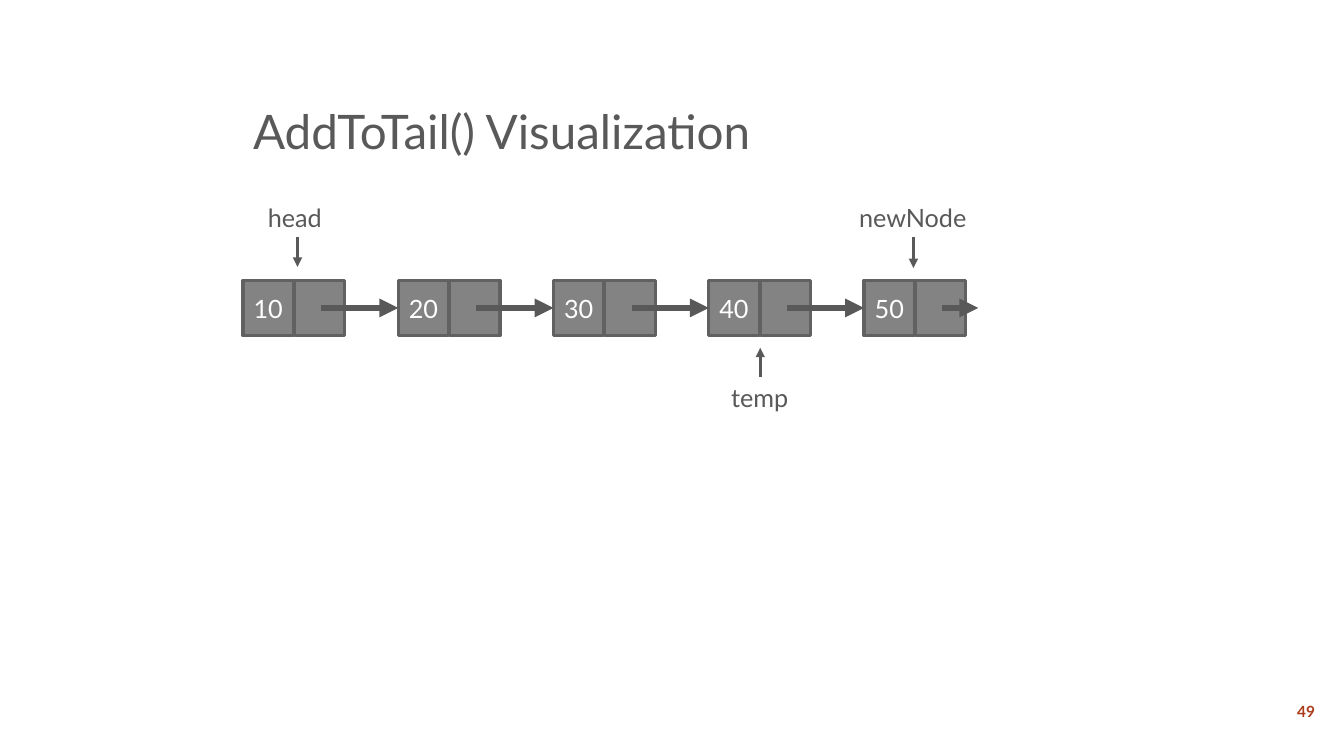
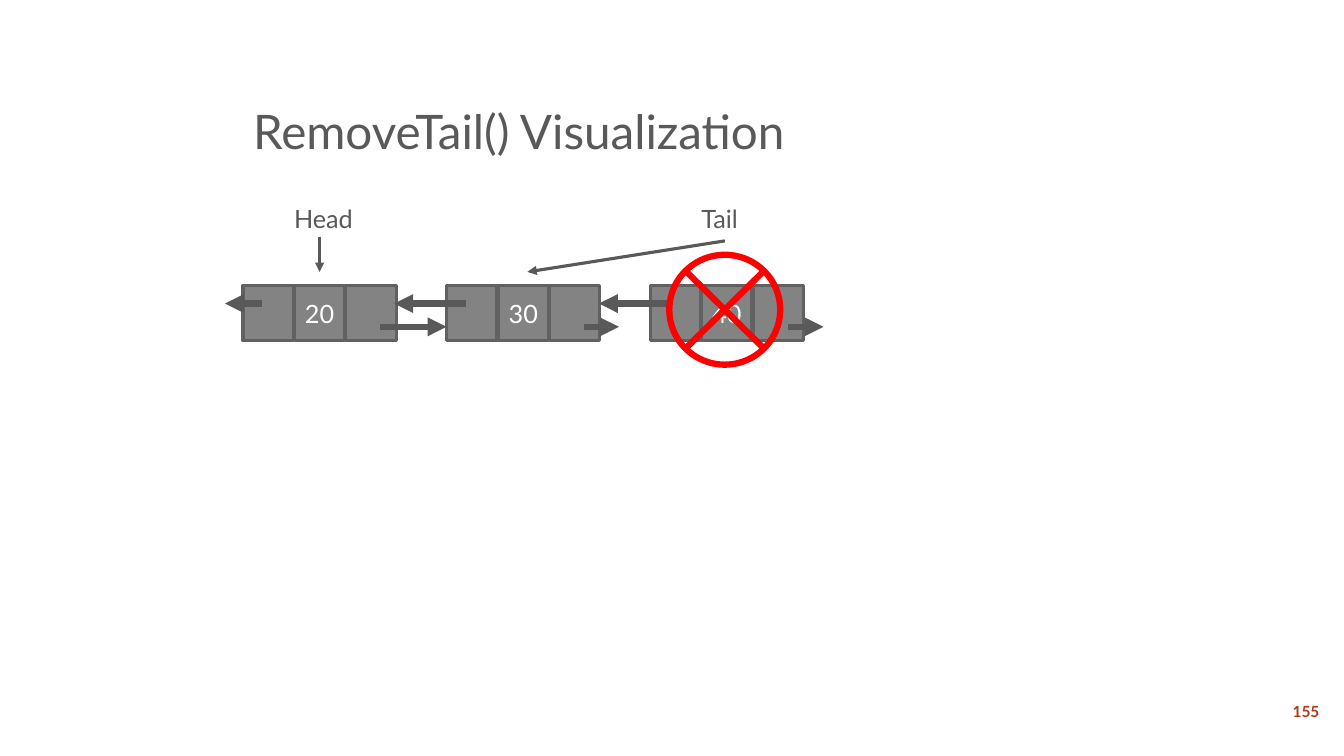
from dataclasses import dataclass
from itertools import product

from lxml.etree import SubElement
from pptx import Presentation
from pptx.dml.color import RGBColor as Rgb
from pptx.enum.shapes import MSO_CONNECTOR as Connector, MSO_SHAPE as Shape
from pptx.enum.text import MSO_ANCHOR as Anchor, MSO_AUTO_SIZE as AutoSize, PP_ALIGN as Align
from pptx.oxml.ns import qn
from pptx.util import Inches, Pt


@dataclass(frozen=True)
class Theme:
    font: str = "Lato"
    ink: Rgb = Rgb(0x59, 0x59, 0x59)
    cell_fill: Rgb = Rgb(0x83, 0x83, 0x83)
    cell_edge: Rgb = Rgb(0x61, 0x61, 0x61)
    cell_text: Rgb = Rgb(0xFF, 0xFF, 0xFF)
    page: Rgb = Rgb(0xAB, 0x3C, 0x19)
    removed: Rgb = Rgb(0xFF, 0x00, 0x00)
    title_size: float = 34
    body_size: float = 18
    page_size: float = 11
    thin: float = 2.25
    thick: float = 4.5


THEME = Theme()
SLIDE_W, SLIDE_H = 13.33, 7.5
LEFT = 2.41  # shared by the title and the lists
CELL_W, CELL_H, CELL_STEP = 0.5, 0.55, 0.51
LABEL_H = 0.4


@dataclass(frozen=True)
class Spot:
    """A place in a list: node index, then columns and rows of its cells."""
    node: int
    col: float
    row: float


@dataclass(frozen=True)
class Link:
    start: Spot
    end: Spot
    joins_node: bool = False


@dataclass(frozen=True)
class Pointer:
    text: str
    label: Spot
    label_width: float
    start: Spot
    end: Spot


@dataclass(frozen=True)
class LinkedList:
    values: tuple[str, ...]
    top: float
    pitch: float
    cells: int
    value_cell: int
    links: tuple[Link, ...]
    pointers: tuple[Pointer, ...]

    def place(self, spot: Spot) -> tuple[Inches, Inches]:
        return (Inches(LEFT + spot.node * self.pitch + spot.col * CELL_STEP),
                Inches(self.top + spot.row * CELL_H))


def style(paragraph, size: float, color: Rgb, align=Align.LEFT, bold: bool = False) -> None:
    paragraph.alignment = align
    font = paragraph.font
    font.name, font.size, font.bold = THEME.font, Pt(size), bold
    font.color.rgb = color


def add_cell(slide, chain: LinkedList, spot: Spot, value: str):
    cell = slide.shapes.add_shape(Shape.RECTANGLE, *chain.place(spot),
                                  Inches(CELL_W), Inches(CELL_H))
    cell.shadow.inherit = False
    cell.fill.solid()
    cell.fill.fore_color.rgb = THEME.cell_fill
    cell.line.color.rgb = THEME.cell_edge
    cell.line.width = Pt(THEME.thin)
    if value:
        frame = cell.text_frame
        frame.text = value
        frame.vertical_anchor = Anchor.MIDDLE
        style(frame.paragraphs[0], THEME.body_size, THEME.cell_text, Align.CENTER)
    return cell


def add_arrow(slide, chain: LinkedList, start: Spot, end: Spot, width: float):
    arrow = slide.shapes.add_connector(Connector.STRAIGHT, *chain.place(start), *chain.place(end))
    arrow.line.color.rgb = THEME.ink
    arrow.line.width = Pt(width)
    SubElement(arrow.line._get_or_add_ln(), qn("a:tailEnd"), type="triangle")
    SubElement(arrow._element.spPr, qn("a:effectLst"))
    return arrow


def add_pointer(slide, chain: LinkedList, pointer: Pointer) -> None:
    label = slide.shapes.add_textbox(*chain.place(pointer.label),
                                     Inches(pointer.label_width), Inches(LABEL_H))
    frame = label.text_frame
    frame.word_wrap = False
    frame.auto_size = AutoSize.SHAPE_TO_FIT_TEXT
    frame.text = pointer.text
    style(frame.paragraphs[0], THEME.body_size, THEME.ink)
    add_arrow(slide, chain, pointer.start, pointer.end, THEME.thin)


def add_list(slide, chain: LinkedList) -> None:
    # Nodes, each a row of cells
    first_cells = {}
    for (node, value), col in product(enumerate(chain.values), range(chain.cells)):
        cell = add_cell(slide, chain, Spot(node, col, 0), value if col == chain.value_cell else "")
        if col == 0:
            first_cells[node] = cell
    # Links between nodes
    for link in chain.links:
        arrow = add_arrow(slide, chain, link.start, link.end, THEME.thick)
        if link.joins_node:
            arrow.end_connect(first_cells[link.end.node], 1)
    # Named pointers
    for pointer in chain.pointers:
        add_pointer(slide, chain, pointer)


def add_removal_mark(slide, chain: LinkedList, spot: Spot) -> None:
    mark = slide.shapes.add_shape(Shape.FLOWCHART_SUMMING_JUNCTION, *chain.place(spot),
                                  Inches(1.1), Inches(1.09))
    mark.shadow.inherit = False
    mark.fill.background()
    mark.line.color.rgb = THEME.removed
    mark.line.width = Pt(THEME.thick)


def start_slide(deck, heading: str, page: str):
    slide = deck.slides.add_slide(deck.slide_layouts[5])
    # Title
    title = slide.shapes.title
    title.left, title.top = Inches(LEFT), Inches(0.33)
    title.width, title.height = Inches(10.25), Inches(1.31)
    frame = title.text_frame
    frame.text = heading
    frame.vertical_anchor = Anchor.BOTTOM
    frame.auto_size = AutoSize.NONE
    frame.paragraphs[0].line_spacing = 0.9
    style(frame.paragraphs[0], THEME.title_size, THEME.ink)
    # Page number
    number = slide.shapes.add_textbox(Inches(SLIDE_W * 0.95), Inches(SLIDE_H * 0.916),
                                      Inches(0.58), Inches(0.38)).text_frame
    number.word_wrap = True
    number.vertical_anchor = Anchor.MIDDLE
    number.text = page
    style(number.paragraphs[0], THEME.page_size, THEME.page, Align.CENTER, bold=True)
    return slide


SINGLY_LINKED = LinkedList(
    values=("10", "20", "30", "40", "50"), top=2.78, pitch=1.54, cells=2, value_cell=0,
    links=(
        *(Link(Spot(node, 1.52, 0.5), Spot(node + 1, 0, 0.5), True) for node in range(4)),
        Link(Spot(4, 1.52, 0.5), Spot(4, 2.22, 0.5)),
    ),
    pointers=(
        Pointer("head", Spot(0, 0.29, -1.5), 0.78, Spot(0, 1.06, -0.78), Spot(0, 1.06, -0.24)),
        Pointer("temp", Spot(3, 0.24, 1.76), 0.78, Spot(3, 1, 1.75), Spot(3, 1, 1.22)),
        Pointer("newNode", Spot(4, -0.29, -1.5), 1.27, Spot(4, 0.96, -0.78), Spot(4, 0.96, -0.22)),
    ),
)

PREVIOUS_ENDS = (-0.35, -1.02, -1)
NEXT_ENDS = (3.96, 3.35, 3.37)
DOUBLY_LINKED = LinkedList(
    values=("20", "30", "40"), top=2.83, pitch=2.02, cells=3, value_cell=1,
    links=(
        *(Link(Spot(node, 0.37, 0.33), Spot(node, col, 0.33))
          for node, col in enumerate(PREVIOUS_ENDS)),
        *(Link(Spot(node, 2.67, 0.75), Spot(node, col, 0.75))
          for node, col in enumerate(NEXT_ENDS)),
    ),
    pointers=(
        Pointer("Head", Spot(0, 0.8, -1.56), 0.81, Spot(0, 1.49, -0.87), Spot(0, 1.49, -0.24)),
        Pointer("Tail", Spot(2, 0.8, -1.56), 0.59, Spot(2, 1.45, -0.8), Spot(1, 1.57, -0.24)),
    ),
)


def main() -> None:
    deck = Presentation()
    deck.slide_width, deck.slide_height = Inches(SLIDE_W), Inches(SLIDE_H)

    add_list(start_slide(deck, "AddToTail() Visualization", "49"), SINGLY_LINKED)

    removal = start_slide(deck, "RemoveTail() Visualization", "155")
    add_list(removal, DOUBLY_LINKED)
    add_removal_mark(removal, DOUBLY_LINKED, Spot(2, 0.37, -0.55))

    deck.save("out.pptx")


if __name__ == "__main__":
    main()
